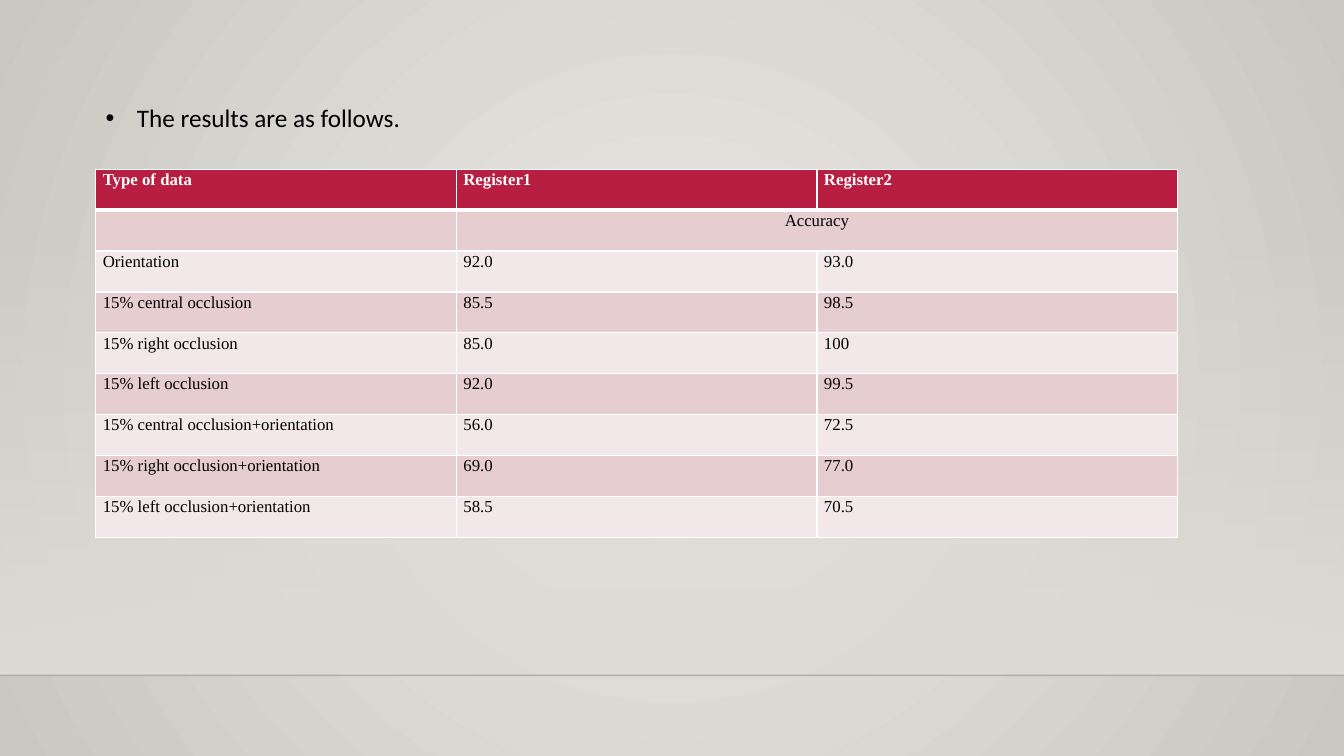
from lxml import etree
from pptx import Presentation
from pptx.dml.color import RGBColor
from pptx.enum.shapes import MSO_CONNECTOR as CONNECTOR, MSO_SHAPE as SHAPE
from pptx.enum.text import MSO_AUTO_SIZE as AUTO_SIZE, PP_ALIGN as ALIGN
from pptx.oxml.ns import qn
from pptx.util import Inches, Pt

WHITE = RGBColor(0xFF, 0xFF, 0xFF)
BLACK = RGBColor(0x00, 0x00, 0x00)
CRIMSON = RGBColor(0xB7, 0x1E, 0x42)
ROSE = RGBColor(0xE6, 0xCD, 0xCF)
PALE_ROSE = RGBColor(0xF3, 0xE8, 0xE9)
SAND = RGBColor(0xDF, 0xDB, 0xD5)
LIGHT_STONE = RGBColor(0xEC, 0xEA, 0xE7)
DARK_STONE = RGBColor(0xCA, 0xC7, 0xC1)

ROWS = [
    ("Type of data", "Register1", "Register2"),
    ("", "Accuracy", ""),
    ("Orientation", "92.0", "93.0"),
    ("15% central occlusion", "85.5", "98.5"),
    ("15% right occlusion", "85.0", "100"),
    ("15% left occlusion", "92.0", "99.5"),
    ("15% central occlusion+orientation", "56.0", "72.5"),
    ("15% right occlusion+orientation", "69.0", "77.0"),
    ("15% left occlusion+orientation", "58.5", "70.5"),
]


def set_alpha(color, percent):
    """Make an RGB colour element partly transparent."""
    etree.SubElement(color, qn("a:alpha"), val=str(percent * 1000))


def add_border(cell, side, width):
    """Draw one white edge of a table cell."""
    line = etree.SubElement(cell._tc.get_or_add_tcPr(), qn(f"a:ln{side}"), w=str(Pt(width)))
    fill = etree.SubElement(line, qn("a:solidFill"))
    etree.SubElement(fill, qn("a:srgbClr"), val=str(WHITE))


presentation = Presentation()
presentation.slide_width = Inches(13.33)
presentation.slide_height = Inches(7.5)
slide = presentation.slides.add_slide(presentation.slide_layouts[6])

# Radial background
background = slide.background.fill
background.gradient()
for stop, color in zip(background.gradient_stops, (LIGHT_STONE, DARK_STONE)):
    stop.color.rgb = color
linear = next(slide.background._cSld.iter(qn("a:lin")))
radial = etree.Element(qn("a:path"), path="circle")
etree.SubElement(radial, qn("a:fillToRect"), l="50000", t="50000", r="50000", b="50000")
linear.getparent().replace(linear, radial)

# Wall fading in towards the floor line
wall = slide.shapes.add_shape(SHAPE.RECTANGLE, 0, Inches(2.21), Inches(13.33), Inches(4.49))
wall.shadow.inherit = False
wall.line.fill.background()
wall.fill.gradient()
wall.fill.gradient_angle = 270
for stop in wall.fill.gradient_stops:
    stop.color.rgb = SAND
set_alpha(next(wall._element.spPr.iter(qn("a:srgbClr"))), 0)

# Floor line
floor = slide.shapes.add_connector(CONNECTOR.STRAIGHT, 0, Inches(6.7), Inches(13.33), Inches(6.7))
floor.line.color.rgb = BLACK
floor.line.width = Pt(1)
set_alpha(next(floor._element.spPr.iter(qn("a:srgbClr"))), 20)
etree.SubElement(floor._element.spPr, qn("a:effectLst"))

# Results table
table = slide.shapes.add_table(
    len(ROWS), 3, Inches(0.95), Inches(1.68), Inches(10.73), Inches(3.65)).table
table.cell(1, 1).merge(table.cell(1, 2))
for row_index, row in enumerate(ROWS):
    is_header = row_index == 0
    for column_index, text in enumerate(row):
        cell = table.cell(row_index, column_index)
        cell.margin_left = cell.margin_right = Inches(0.07)
        cell.margin_top = cell.margin_bottom = 0
        widths = {"L": 1, "R": 1, "T": 3 if row_index == 1 else 1, "B": 3 if is_header else 1}
        for side, width in widths.items():
            add_border(cell, side, width)
        cell.fill.solid()
        cell.fill.fore_color.rgb = CRIMSON if is_header else ROSE if row_index % 2 else PALE_ROSE
        if not text:
            continue
        cell.text = text
        paragraph = cell.text_frame.paragraphs[0]
        paragraph.line_spacing = 1.07
        paragraph.alignment = ALIGN.CENTER if text == "Accuracy" else ALIGN.LEFT
        font = paragraph.runs[0].font
        font.color.rgb = WHITE if is_header else BLACK
        text_format = {"name": "Times New Roman", "size": Pt(12), "bold": is_header}
        for name, value in text_format.items():
            setattr(font, name, value)

# Bulleted introduction
intro = slide.shapes.add_textbox(Inches(0.95), Inches(0.97), Inches(3.24), Inches(0.4))
intro.text_frame.word_wrap = True
intro.text_frame.auto_size = AUTO_SIZE.SHAPE_TO_FIT_TEXT
paragraph = intro.text_frame.paragraphs[0]
run = paragraph.add_run()
run.text = "The results are as follows."
run.font.name = "Calibri"
run.font.size = Pt(18)
run.font.color.rgb = BLACK
properties = paragraph._p.get_or_add_pPr()
properties.set("marL", str(Inches(0.31)))
properties.set("indent", str(-Inches(0.31)))
etree.SubElement(properties, qn("a:buFont"), typeface="Arial")
etree.SubElement(properties, qn("a:buChar"), char="•")

presentation.save("out.pptx")
